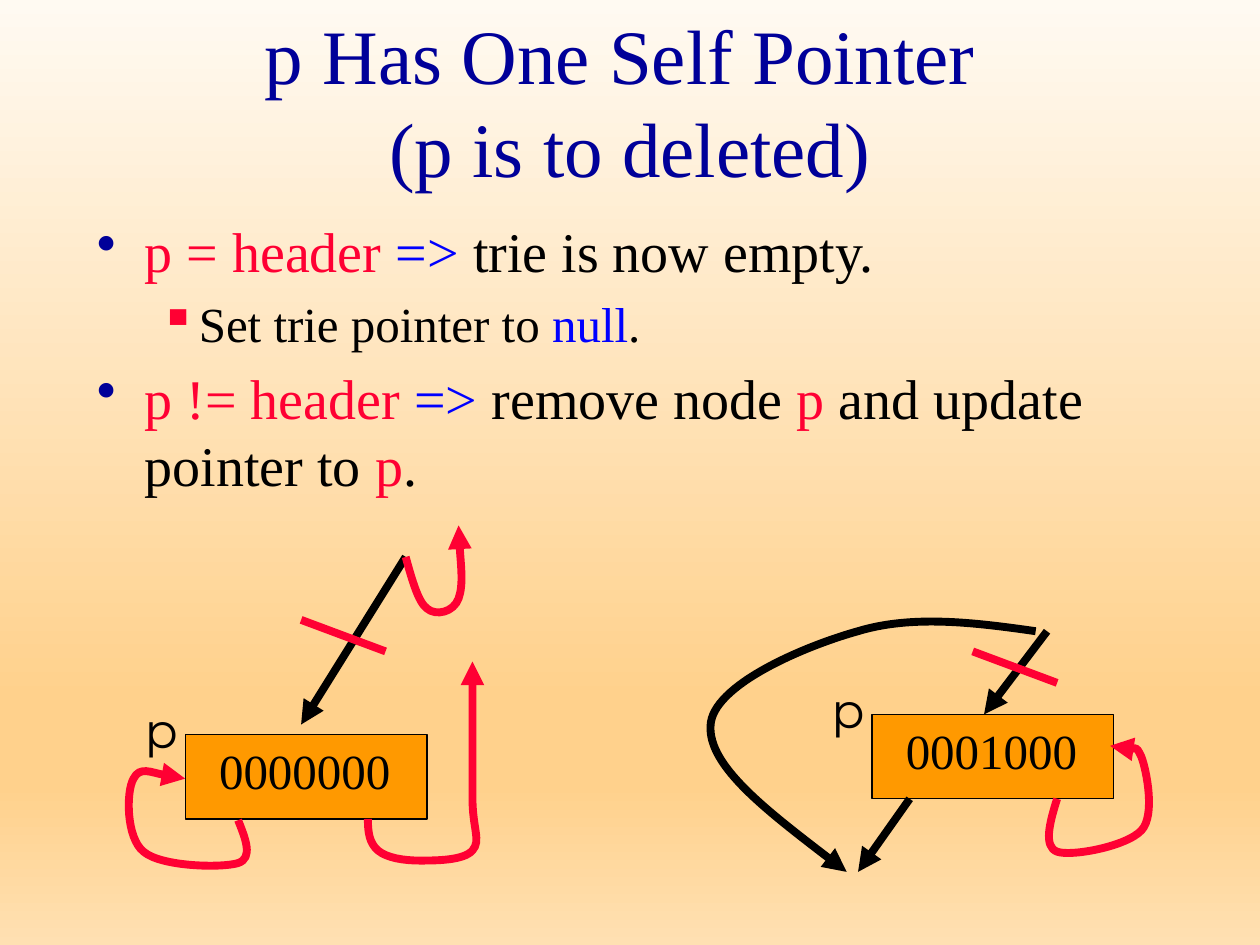
from lxml import etree
from pptx import Presentation
from pptx.dml.color import RGBColor
from pptx.enum.shapes import MSO_CONNECTOR as Connector, MSO_SHAPE as Shape
from pptx.enum.text import MSO_ANCHOR as Anchor, MSO_AUTO_SIZE as AutoSize, PP_ALIGN as Align
from pptx.oxml.ns import qn
from pptx.util import Inches, Pt

BLACK, RED, BLUE, NAVY, ORANGE = "000000", "FF0033", "0000FF", "000099", "FF9900"
SERIF = "Times New Roman"
BACKGROUND_STOPS = [(0, "FFFAF2"), (74, "FFD18C"), (83, "FFD18C"), (100, "FFE0B2")]

# level, runs of (text, colour)
BULLETS = [
    (0, [("p = header ", RED), ("=>", BLUE), (" trie is now empty.", BLACK)]),
    (1, [("Set trie pointer to ", BLACK), ("null", BLUE), (".", BLACK)]),
    (0, [("p != header ", RED), ("=>", BLUE), (" remove node ", BLACK), ("p", RED),
         (" and update pointer to ", BLACK), ("p", RED), (".", BLACK)]),
]
# size, bullet, bullet colour, left margin, indent
LEVELS = [(32, "•", NAVY, 0.38, -0.38), (28, "▪", RED, 0.81, -0.31)]

# left, top, digits
NODES = [(1.47, 5.83, "0000000"), (6.92, 5.67, "0001000")]

# start, end, colour, arrow
LINES = [
    ((7.22, 6.34), (6.81, 6.92), BLACK, True),
    ((8.31, 5.01), (7.81, 5.67), BLACK, True),
    ((7.72, 5.17), (8.39, 5.42), RED, False),
    ((3.22, 4.42), (2.39, 5.75), BLACK, True),
    ((2.39, 4.92), (3.06, 5.17), RED, False),
]

# colour, start point followed by three Bezier points for each segment
CURVES = [
    (RED, [(8.39, 6.34), (8.33, 6.53), (8.28, 6.72), (8.39, 6.76),
           (8.5, 6.8), (8.94, 6.72), (9.06, 6.59),
           (9.17, 6.47), (9.1, 6.12), (9.06, 6.01),
           (9.01, 5.9), (8.85, 5.94), (8.81, 5.92)]),
    (BLACK, [(8.22, 5.01), (7.73, 4.94), (7.24, 4.88), (6.81, 5.01),
             (6.38, 5.13), (5.65, 5.44), (5.64, 5.76),
             (5.62, 6.08), (6.17, 6.5), (6.72, 6.92)]),
    (RED, [(1.89, 6.51), (1.95, 6.66), (2.01, 6.81), (1.89, 6.85),
           (1.76, 6.89), (1.28, 6.88), (1.14, 6.76),
           (1, 6.65), (1, 6.28), (1.06, 6.18),
           (1.11, 6.08), (1.4, 6.18), (1.47, 6.18)]),
    (RED, [(2.92, 6.5), (2.92, 6.6), (2.93, 6.69), (3, 6.75),
           (3.07, 6.81), (3.21, 6.83), (3.33, 6.83),
           (3.46, 6.83), (3.68, 6.83), (3.75, 6.75),
           (3.82, 6.67), (3.75, 6.58), (3.75, 6.33),
           (3.75, 6.08), (3.75, 5.43), (3.75, 5.25)]),
    (RED, [(3.22, 4.42), (3.27, 4.6), (3.32, 4.78), (3.39, 4.83),
           (3.46, 4.89), (3.6, 4.86), (3.64, 4.75),
           (3.68, 4.64), (3.64, 4.26), (3.64, 4.17)]),
]


def color(value):
    return RGBColor.from_string(value)


def add_element(parent, tag, **attributes):
    return etree.SubElement(parent, qn(tag), attributes)


def set_background(slide):
    fill = slide.background.fill
    fill.gradient()
    fill.gradient_angle = 270
    stops = next(slide.element.iter(qn("a:gsLst")))
    for stop in list(stops):
        stops.remove(stop)
    for position, value in BACKGROUND_STOPS:
        stop = add_element(stops, "a:gs", pos=str(position * 1000))
        add_element(stop, "a:srgbClr", val=value)


def style_line(shape, value, width, arrow=False):
    shape.line.color.rgb = color(value)
    shape.line.width = Pt(width)
    if arrow:
        add_element(shape.line._get_or_add_ln(), "a:tailEnd", type="triangle")


def add_text_box(slide, left, top, width, height, **frame_format):
    box = slide.shapes.add_textbox(Inches(left), Inches(top), Inches(width), Inches(height))
    for name, value in {"word_wrap": True, **frame_format}.items():
        setattr(box.text_frame, name, value)
    return box.text_frame


def add_run(paragraph, text, size, value, font=SERIF):
    run = paragraph.add_run()
    run.text = text
    for name, setting in {"size": Pt(size), "name": font}.items():
        setattr(run.font, name, setting)
    run.font.color.rgb = color(value)


def set_space_before(paragraph, percent):
    """Set the space as a share of the line height."""
    spacing = add_element(paragraph._p.get_or_add_pPr(), "a:spcBef")
    add_element(spacing, "a:spcPct", val=str(percent * 1000))


def add_title(slide):
    frame = add_text_box(slide, 0.75, 0.17, 8.5, 1.25, vertical_anchor=Anchor.MIDDLE)
    paragraph = frame.paragraphs[0]
    paragraph.alignment = Align.CENTER
    add_run(paragraph, "p Has One Self Pointer ", 44, NAVY)
    paragraph.add_line_break()
    add_run(paragraph, "(p is to deleted)", 44, NAVY)


def add_bullets(slide):
    frame = add_text_box(slide, 0.67, 1.67, 8.5, 2.75)
    for index, (level, runs) in enumerate(BULLETS):
        paragraph = frame.add_paragraph() if index else frame.paragraphs[0]
        size, bullet, bullet_color, margin, indent = LEVELS[level]
        paragraph.level = level
        set_space_before(paragraph, 20)
        properties = paragraph._p.get_or_add_pPr()
        properties.set("marL", str(Inches(margin)))
        properties.set("indent", str(Inches(indent)))
        add_element(add_element(properties, "a:buClr"), "a:srgbClr", val=bullet_color)
        add_element(properties, "a:buChar", char=bullet)
        for text, value in runs:
            add_run(paragraph, text, size, value)


def add_label(slide, left, top, width, text, font, value):
    frame = add_text_box(slide, left, top, width, 0.57, auto_size=AutoSize.SHAPE_TO_FIT_TEXT)
    paragraph = frame.paragraphs[0]
    set_space_before(paragraph, 50)
    add_run(paragraph, text, 28, value, font)


def add_node(slide, left, top, digits):
    box = slide.shapes.add_shape(
        Shape.RECTANGLE, Inches(left), Inches(top), Inches(1.92), Inches(0.67))
    box.shadow.inherit = False
    box.fill.solid()
    box.fill.fore_color.rgb = color(ORANGE)
    style_line(box, BLACK, 0.75)
    add_label(slide, left + 0.17, top, 1.92, digits, SERIF, BLACK)
    add_label(slide, left - 0.42, top - 0.33, 0.67, "p", "Montserrat", "010000")


def add_line(slide, start, end, value, arrow):
    line = slide.shapes.add_connector(
        Connector.STRAIGHT, *[Inches(number) for number in (*start, *end)])
    style_line(line, value, 4.5, arrow)
    add_element(line._element.spPr, "a:effectLst")


def add_curve(slide, value, points):
    """Draw the points as segments, then turn each three into one Bezier."""
    start, *others = [(Inches(x), Inches(y)) for x, y in points]
    builder = slide.shapes.build_freeform(*start)
    builder.add_line_segments(others, close=False)
    curve = builder.convert_to_shape()
    curve.shadow.inherit = False
    curve.fill.background()
    style_line(curve, value, 4.5, arrow=True)
    segments = list(curve._element.iter(qn("a:lnTo")))
    outline = segments[0].getparent()
    for first in range(0, len(segments), 3):
        bezier = add_element(outline, "a:cubicBezTo")
        for segment in segments[first:first + 3]:
            bezier.append(segment[0])
            outline.remove(segment)


def main():
    presentation = Presentation()
    presentation.slide_width, presentation.slide_height = Inches(10), Inches(7.5)
    slide = presentation.slides.add_slide(presentation.slide_layouts[6])
    set_background(slide)
    add_title(slide)
    add_bullets(slide)
    for node in NODES:
        add_node(slide, *node)
    for line in LINES:
        add_line(slide, *line)
    for curve in CURVES:
        add_curve(slide, *curve)
    presentation.save("out.pptx")


if __name__ == "__main__":
    main()
